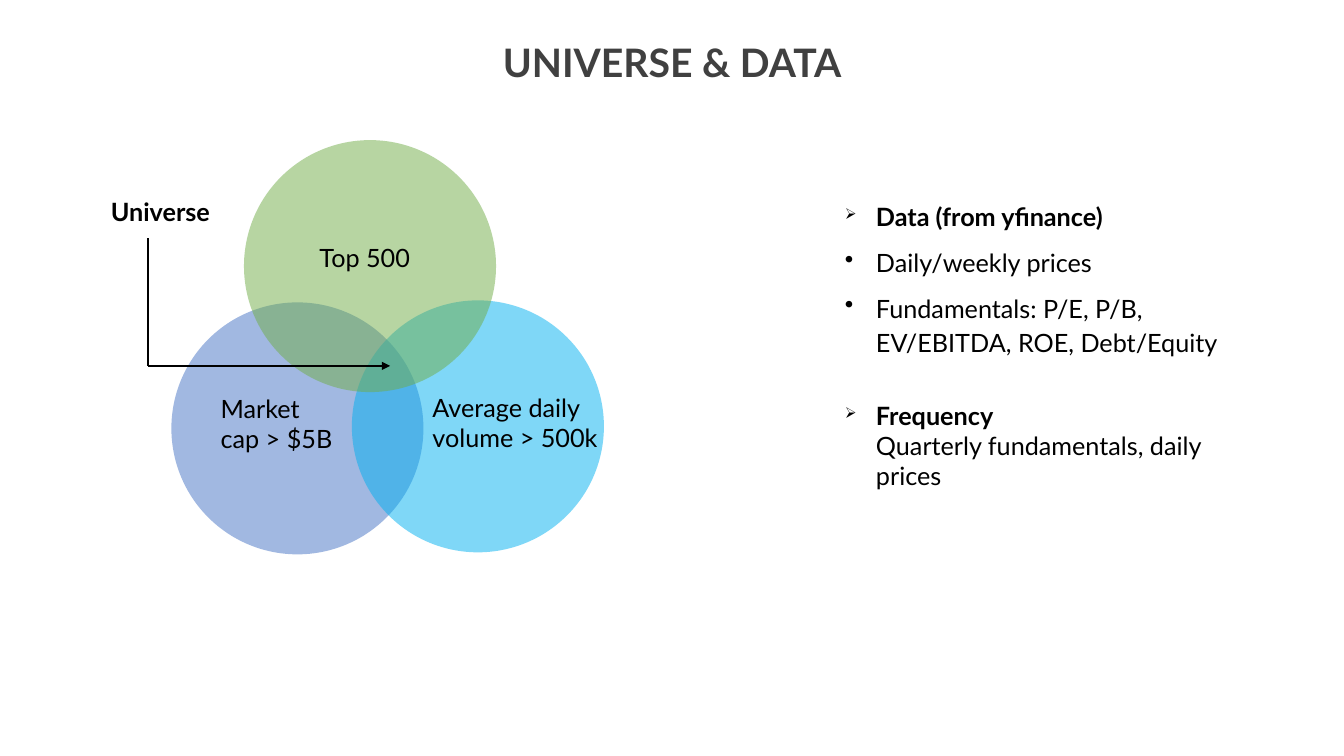
from lxml import etree
from pptx import Presentation
from pptx.dml.color import RGBColor
from pptx.enum import shapes, text
from pptx.oxml import ns
from pptx.util import Inches, Pt

FONT = "Lato"
BLACK = "000000"
DIAMETER = 2.5
INDENT = 0.31

TITLE = ("UNIVERSE & DATA", (4.68, 0.43, 3.97, 0.85))
CIRCLES = [  # left, top, colour
    (1.7, 3, "4472C4"),
    (3.49, 2.98, "00B0F0"),
    (2.42, 1.39, "70AD47"),
]
LABELS = [  # wording, box, bold
    ("Top 500", (3.07, 2.36, 1.35, 0.4), False),
    ("Market cap > $5B", (2.09, 3.85, 1.33, 0.72), False),
    ("Average daily volume > 500k", (4.19, 3.84, 1.91, 0.71), False),
    ("Universe", (1, 1.9, 1.95, 0.4), True),
]
ARROW_CORNER = (1.47, 3.63)
ARROW_TOP = (1.47, 2.36)
ARROW_TIP = (3.87, 3.63)
NOTES_BOX = (8.28, 1.9, 4.28, 3.35)
# bullet, bullet size %, line spacing, space before, space after, lines of (wording, bold)
NOTES = [
    ("➢", 60, 1.15, 0, 8, [("Data (from yfinance)", True)]),
    ("•", 100, 1.15, 0, 8, [("Daily/weekly prices", False)]),
    ("•", 100, 1.15, 0, 8,
     [("Fundamentals: P/E, P/B, EV/EBITDA, ROE, Debt/Equity", False)]),
    ("➢", 60, 1.0, 22, 0,
     [("Frequency", True), ("Quarterly fundamentals, daily prices", False)]),
]


def color(hex_code):
    return RGBColor.from_string(hex_code)


def add_xml(parent, tag, **attributes):
    return etree.SubElement(parent, ns.qn(tag), attributes)


def set_font(para, size=18, hex_code=BLACK, bold=None):
    font = para.font
    font.name, font.size, font.bold = FONT, Pt(size), bold
    font.color.rgb = color(hex_code)


def add_text_frame(page, box):
    frame = page.shapes.add_textbox(*map(Inches, box)).text_frame
    frame.word_wrap = True
    return frame


def add_title(page, wording, box):
    frame = add_text_frame(page, box)
    frame.margin_left = frame.margin_right = frame.margin_top = frame.margin_bottom = 0
    para = frame.paragraphs[0]
    para.text = wording
    para.alignment = text.PP_ALIGN.CENTER
    para.line_spacing = 0.9
    set_font(para, 28, "404040", True)


def add_circle(page, left, top, hex_code):
    circle = page.shapes.add_shape(
        shapes.MSO_SHAPE.FLOWCHART_CONNECTOR,
        *map(Inches, (left, top, DIAMETER, DIAMETER)))
    circle.shadow.inherit = False
    circle.line.fill.background()
    circle.fill.solid()
    circle.fill.fore_color.rgb = color(hex_code)
    tint = circle.fill._xPr.find(".//" + ns.qn("a:srgbClr"))
    add_xml(tint, "a:alpha", val="50000")


def add_line(page, start, end, arrow=False):
    line = page.shapes.add_connector(
        shapes.MSO_CONNECTOR.STRAIGHT, *map(Inches, start + end))
    line.line.color.rgb = color(BLACK)
    line.line.width = Pt(1.5)
    if arrow:
        add_xml(line.line._get_or_add_ln(), "a:tailEnd", type="triangle")
    add_xml(line._element.spPr, "a:effectLst")


def add_notes(page):
    """Add the bulleted list on the right."""
    frame = add_text_frame(page, NOTES_BOX)
    for index, (bullet, percent, spacing, before, after, lines) in enumerate(NOTES):
        para = frame.add_paragraph() if index else frame.paragraphs[0]
        props = para._p.get_or_add_pPr()
        props.set("marL", str(Inches(INDENT)))
        props.set("indent", str(-Inches(INDENT)))
        add_xml(props, "a:buSzPct", val=str(percent * 1000))
        add_xml(props, "a:buChar", char=bullet)
        para.line_spacing = spacing
        para.space_before, para.space_after = Pt(before), Pt(after)
        set_font(para)
        for number, (wording, bold) in enumerate(lines):
            if number:
                para.add_line_break()
            span = para.add_run()
            span.text = wording
            span.font.bold = bold


def main():
    deck = Presentation()
    deck.slide_width, deck.slide_height = Inches(13.33), Inches(7.5)
    page = deck.slides.add_slide(deck.slide_layouts[6])

    add_title(page, *TITLE)
    for circle in CIRCLES:
        add_circle(page, *circle)
    for wording, box, bold in LABELS:
        para = add_text_frame(page, box).paragraphs[0]
        para.text = wording
        set_font(para, bold=bold)
    add_line(page, ARROW_CORNER, ARROW_TIP, arrow=True)
    add_line(page, ARROW_CORNER, ARROW_TOP)
    add_notes(page)
    deck.save("out.pptx")


if __name__ == "__main__":
    main()
